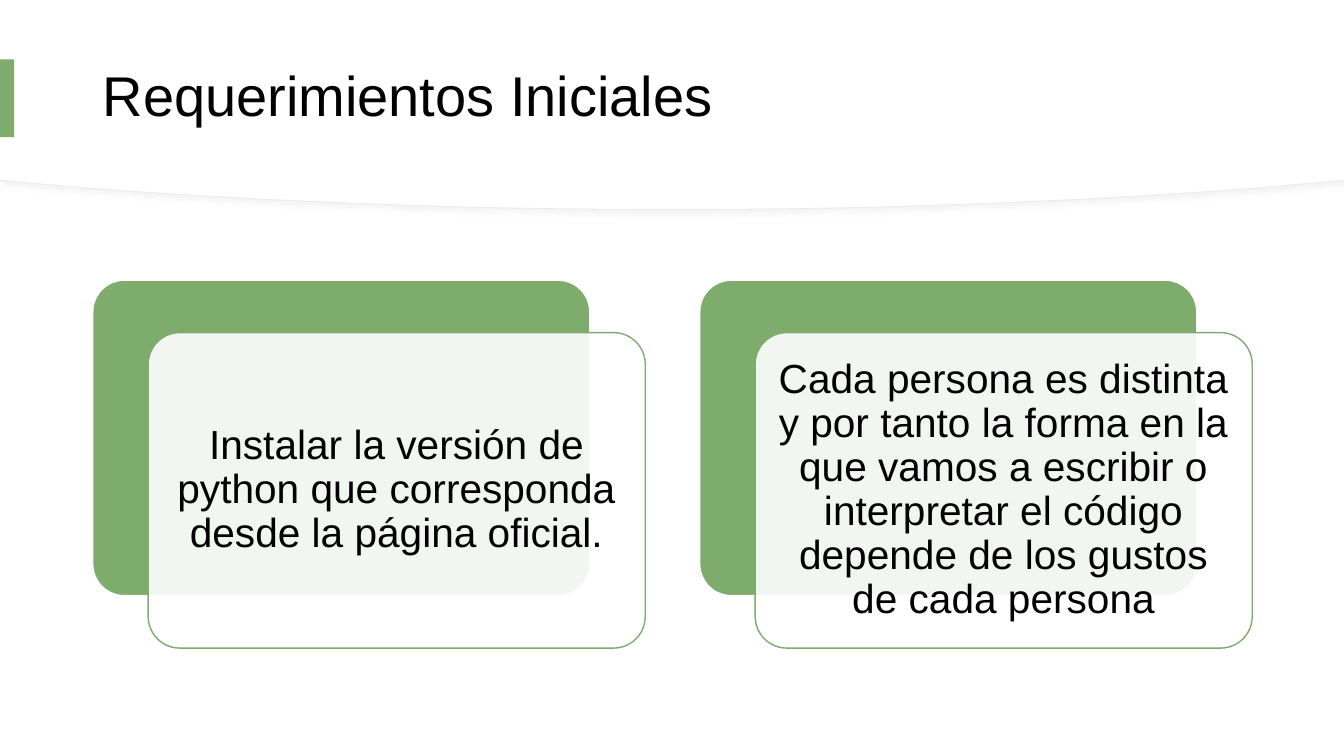
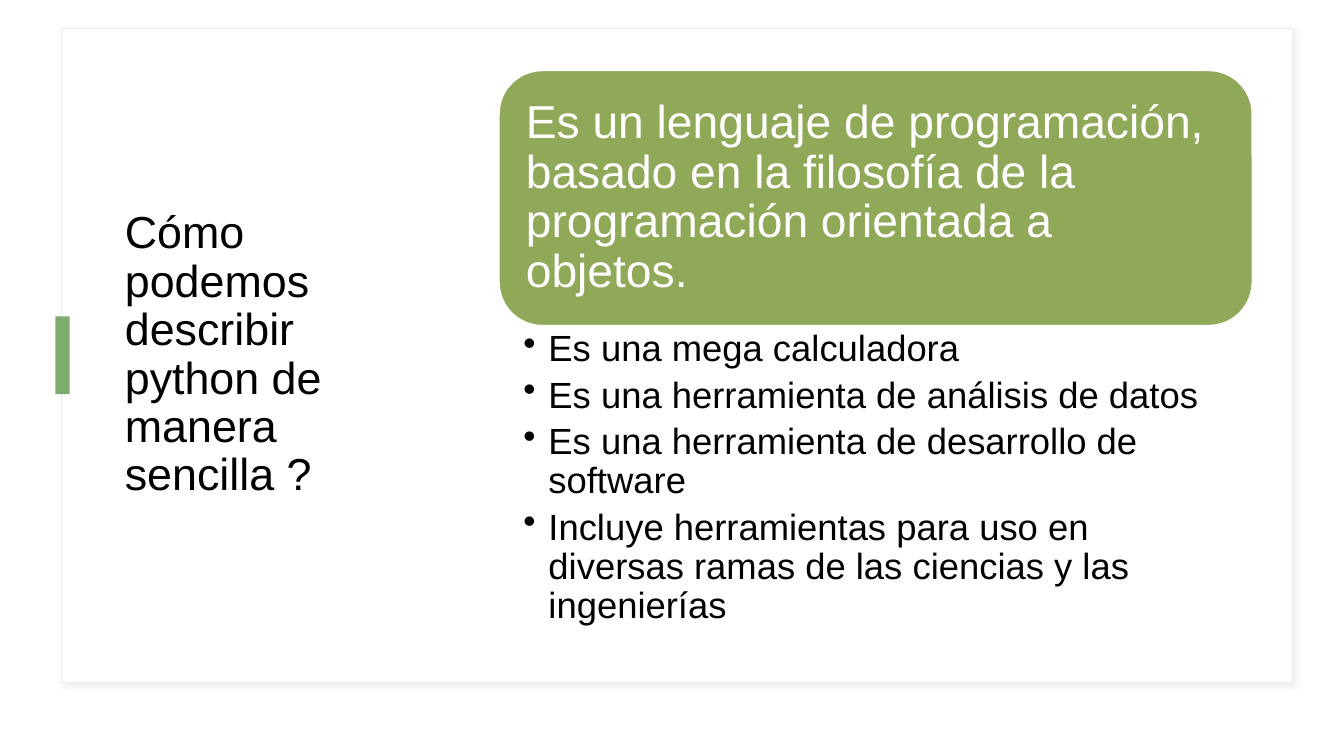
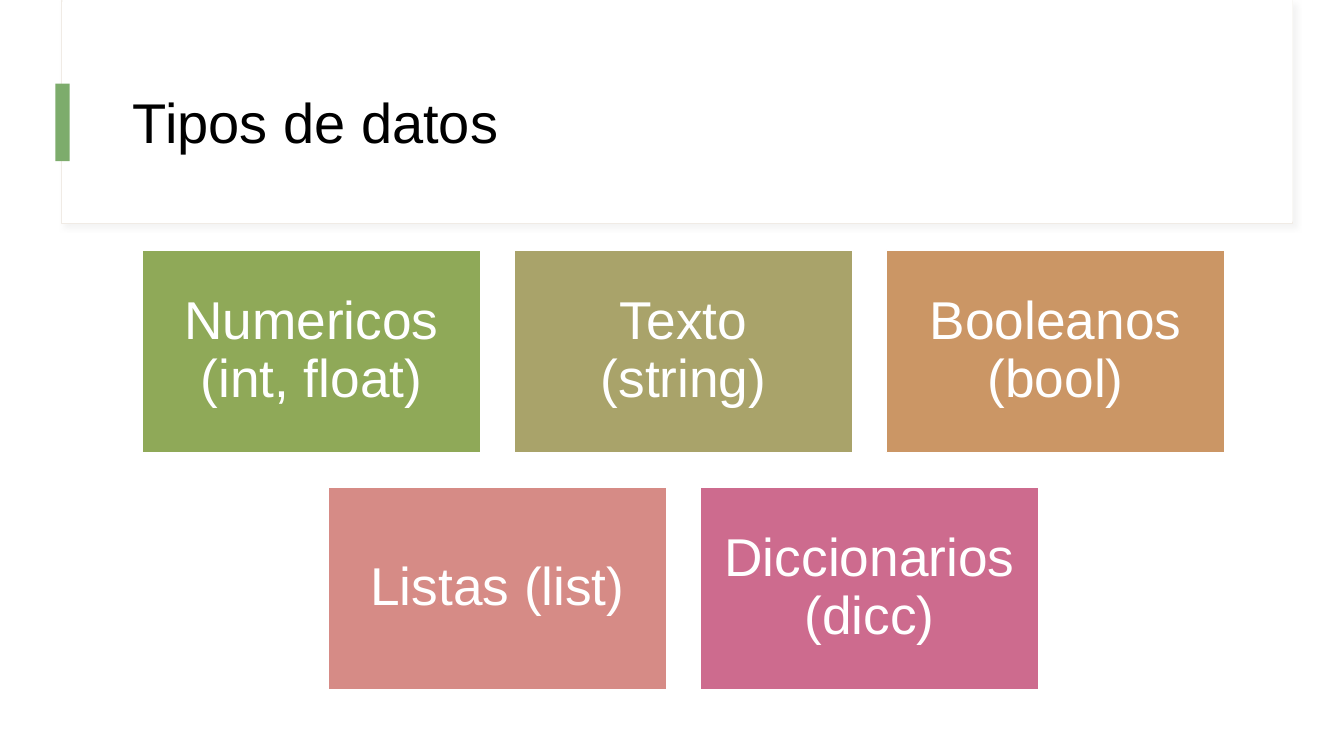
from dataclasses import dataclass
from typing import Any, Optional

import pptx
import pptx.dml.color
import pptx.enum.shapes
import pptx.enum.text
import pptx.oxml
import pptx.oxml.ns
import pptx.util
from lxml import etree

Inches = pptx.util.Inches
Pt = pptx.util.Pt
Color = pptx.dml.color.RGBColor
Shapes = pptx.enum.shapes.MSO_SHAPE
Align = pptx.enum.text.PP_ALIGN
Anchor = pptx.enum.text.MSO_ANCHOR
qn = pptx.oxml.ns.qn


@dataclass(frozen=True)
class Theme:
    font: str = "Arial"
    white: Color = Color.from_string("FFFFFF")
    ink: Color = Color.from_string("000000")
    accent: Color = Color.from_string("7DAC6C")
    green: Color = Color.from_string("8FA958")
    olive: Color = Color.from_string("A9A36A")
    orange: Color = Color.from_string("CB9665")
    salmon: Color = Color.from_string("D68B86")
    pink: Color = Color.from_string("CD6B8E")
    frame: Color = Color.from_string("F0EBE5")
    shadow: str = "D9D9D9"
    shadow_mauve: str = "C5BCCA"
    title: float = 40
    side_title: float = 32
    card: float = 29
    headline: float = 33
    bullet: float = 26
    tile: float = 38


THEME = Theme()
SLIDE_WIDTH, SLIDE_HEIGHT = 13.33, 7.5


@dataclass(frozen=True)
class Area:
    left: float
    top: float
    width: float
    height: float

    def lengths(self) -> list:
        return [Inches(v) for v in (self.left, self.top, self.width, self.height)]


@dataclass(frozen=True)
class Look:
    fill: Color
    line: Optional[Color] = None
    line_width: float = 1
    opacity: int = 100
    shadow: Optional[str] = None
    rounding: Optional[float] = None


@dataclass(frozen=True)
class Writing:
    size: float
    color: Color = THEME.ink
    align: Align = Align.LEFT
    anchor: Anchor = Anchor.MIDDLE
    insets: tuple = (0.1, 0.05, 0.1, 0.05)
    bullet: bool = False
    space_after: float = 0


@dataclass(frozen=True)
class Tile:
    text: str
    fill: Color


# Shared drawing functions
def set_values(target: Any, values: dict) -> None:
    for name, value in values.items():
        setattr(target, name, value)


def style(shape: Any, look: Look) -> None:
    shape.fill.solid()
    shape.fill.fore_color.rgb = look.fill
    if look.line is None:
        shape.line.fill.background()
    else:
        shape.line.color.rgb = look.line
        shape.line.width = Pt(look.line_width)
    shape.shadow.inherit = False
    properties = shape._element.spPr
    if look.opacity < 100:
        fill_color = properties.find(qn("a:solidFill")).find(qn("a:srgbClr"))
        etree.SubElement(fill_color, qn("a:alpha"), val=str(look.opacity * 1000))
    if look.shadow:
        outer = etree.SubElement(
            properties.find(qn("a:effectLst")), qn("a:outerShdw"),
            blurRad=str(Pt(4)), dist=str(Pt(3)), dir=str(45 * 60000),
            algn="tl", rotWithShape="0")
        tint = etree.SubElement(outer, qn("a:srgbClr"), val=look.shadow)
        etree.SubElement(tint, qn("a:alpha"), val="30000")


def write(shape: Any, texts: list[str], writing: Writing) -> None:
    frame = shape.text_frame
    left, top, right, bottom = (Inches(v) for v in writing.insets)
    set_values(frame, {
        "word_wrap": True, "vertical_anchor": writing.anchor,
        "margin_left": left, "margin_top": top,
        "margin_right": right, "margin_bottom": bottom})
    for index, text in enumerate(texts):
        para = frame.add_paragraph() if index else frame.paragraphs[0]
        set_values(para, {"alignment": writing.align, "line_spacing": 0.9,
                          "space_after": Pt(writing.space_after)})
        if writing.bullet:
            properties = para._p.get_or_add_pPr()
            properties.set("marL", str(Inches(0.25)))
            properties.set("indent", str(-Inches(0.25)))
            etree.SubElement(properties, qn("a:buChar"), char="•")
        span = para.add_run()
        set_values(span, {"text": text})
        set_values(span.font, {"name": THEME.font, "size": Pt(writing.size)})
        span.font.color.rgb = writing.color


def add_block(page: Any, area: Area, look: Look) -> Any:
    kind = Shapes.RECTANGLE if look.rounding is None else Shapes.ROUNDED_RECTANGLE
    box = page.shapes.add_shape(kind, *area.lengths())
    if look.rounding is not None:
        box.adjustments[0] = look.rounding
    style(box, look)
    return box


def add_text(page: Any, area: Area, texts: list[str], writing: Writing) -> None:
    write(page.shapes.add_textbox(*area.lengths()), texts, writing)


def add_title(page: Any, text: str, area: Area, size: float,
              marker_left: float, marker_top: float) -> None:
    add_text(page, area, [text], Writing(size))
    add_block(page, Area(marker_left, marker_top, 0.14, 0.77), Look(THEME.accent))


def add_curved_band(page: Any, rise: float, look: Look) -> None:
    """White band whose lower edge is a shallow symmetric curve."""
    curve = ((12.42, 1.87), (10.65, 2.0), (8.71, 2.08), (6.67, 2.08))
    steps = 24
    right_half = [(SLIDE_WIDTH, 1.79)]
    for step in range(steps + 1):
        t = step / steps
        weights = ((1 - t) ** 3, 3 * t * (1 - t) ** 2, 3 * t * t * (1 - t), t ** 3)
        right_half.append(tuple(
            sum(w * point[axis] for w, point in zip(weights, curve))
            for axis in (0, 1)))
    left_half = [(SLIDE_WIDTH - x, y) for x, y in reversed(right_half[:-1])]
    edge = [(SLIDE_WIDTH, rise)] + right_half + left_half
    builder = page.shapes.build_freeform(0, 0, scale=1.0)
    builder.add_line_segments([(Inches(x), Inches(y - rise)) for x, y in edge])
    style(builder.convert_to_shape(), look)


FRAME = Look(THEME.white, THEME.frame, 0.75, shadow=THEME.shadow)
COVER = Look(THEME.white)


# Slide 1: two layered cards
def build_requirements(page: Any) -> None:
    add_curved_band(page, 0, FRAME)
    add_curved_band(page, 0.01, COVER)
    add_title(page, "Requerimientos Iniciales", Area(0.92, 0.28, 11.5, 1.39),
              THEME.title, 0, 0.59)
    cards = [
        "Instalar la versión de python que corresponda desde la página oficial.",
        "Cada persona es distinta y por tanto la forma en la que vamos a escribir "
        "o interpretar el código depende de los gustos de cada persona",
    ]
    back = Look(THEME.accent, THEME.white, rounding=0.1)
    front = Look(THEME.white, THEME.accent, opacity=90, rounding=0.1)
    writing = Writing(THEME.card, align=Align.CENTER, insets=(0.12,) * 4)
    for index, text in enumerate(cards):
        left = 0.92 + index * 6.02
        add_block(page, Area(left, 2.78, 4.93, 3.13), back)
        card = add_block(page, Area(left + 0.55, 3.3, 4.93, 3.13), front)
        write(card, [text], writing)


# Slide 2: headline with bullets
def build_description(page: Any) -> None:
    add_block(page, Area(0.61, 0.28, 12.21, 6.49),
              Look(THEME.white, THEME.frame, shadow=THEME.shadow_mauve))
    add_title(page, "Cómo podemos describir python de manera sencilla ?",
              Area(1.14, 0.55, 3.27, 5.95), THEME.side_title, 0.55, 3.14)
    headline = add_block(page, Area(4.95, 0.7, 7.47, 2.53),
                         Look(THEME.green, THEME.white, rounding=0.17))
    write(headline, ["Es un lenguaje de programación, basado en la filosofía de la "
                     "programación orientada a objetos."],
          Writing(THEME.headline, THEME.white, insets=(0.14,) * 4))
    add_text(page, Area(4.95, 3.23, 7.47, 3.14), [
        "Es una mega calculadora",
        "Es una herramienta de análisis de datos",
        "Es una herramienta de desarrollo de software",
        "Incluye herramientas para uso en diversas ramas de las ciencias y las "
        "ingenierías",
    ], Writing(THEME.bullet, anchor=Anchor.TOP, insets=(0.24, 0.05, 0.26, 0.05),
               bullet=True, space_after=5))


# Slide 3: centred rows of tiles
def build_data_types(page: Any) -> None:
    add_block(page, Area(0.61, 0.01, 12.21, 2.21), FRAME)
    add_block(page, Area(0.62, 0, 12.2, 2.2), COVER)
    add_title(page, "Tipos de datos", Area(1.22, 0.6, 11.12, 1.29),
              THEME.title, 0.55, 0.83)
    rows = [
        [Tile("Numericos (int, float)", THEME.green),
         Tile("Texto (string)", THEME.olive),
         Tile("Booleanos (bool)", THEME.orange)],
        [Tile("Listas (list)", THEME.salmon),
         Tile("Diccionarios (dicc)", THEME.pink)],
    ]
    center, width, height, column_step, row_step = 6.78, 3.36, 2.01, 3.69, 2.35
    writing = Writing(THEME.tile, THEME.white, Align.CENTER, insets=(0.16,) * 4)
    for row_index, row in enumerate(rows):
        start = center - (width + (len(row) - 1) * column_step) / 2
        for column, tile in enumerate(row):
            area = Area(start + column * column_step, 2.48 + row_index * row_step,
                        width, height)
            box = add_block(page, area, Look(tile.fill, THEME.white))
            write(box, [tile.text], writing)


def main() -> None:
    deck = pptx.Presentation()
    set_values(deck, {"slide_width": Inches(SLIDE_WIDTH),
                      "slide_height": Inches(SLIDE_HEIGHT)})
    blank = deck.slide_layouts[6]
    for build in (build_requirements, build_description, build_data_types):
        build(deck.slides.add_slide(blank))
    deck.save("out.pptx")


if __name__ == "__main__":
    main()
